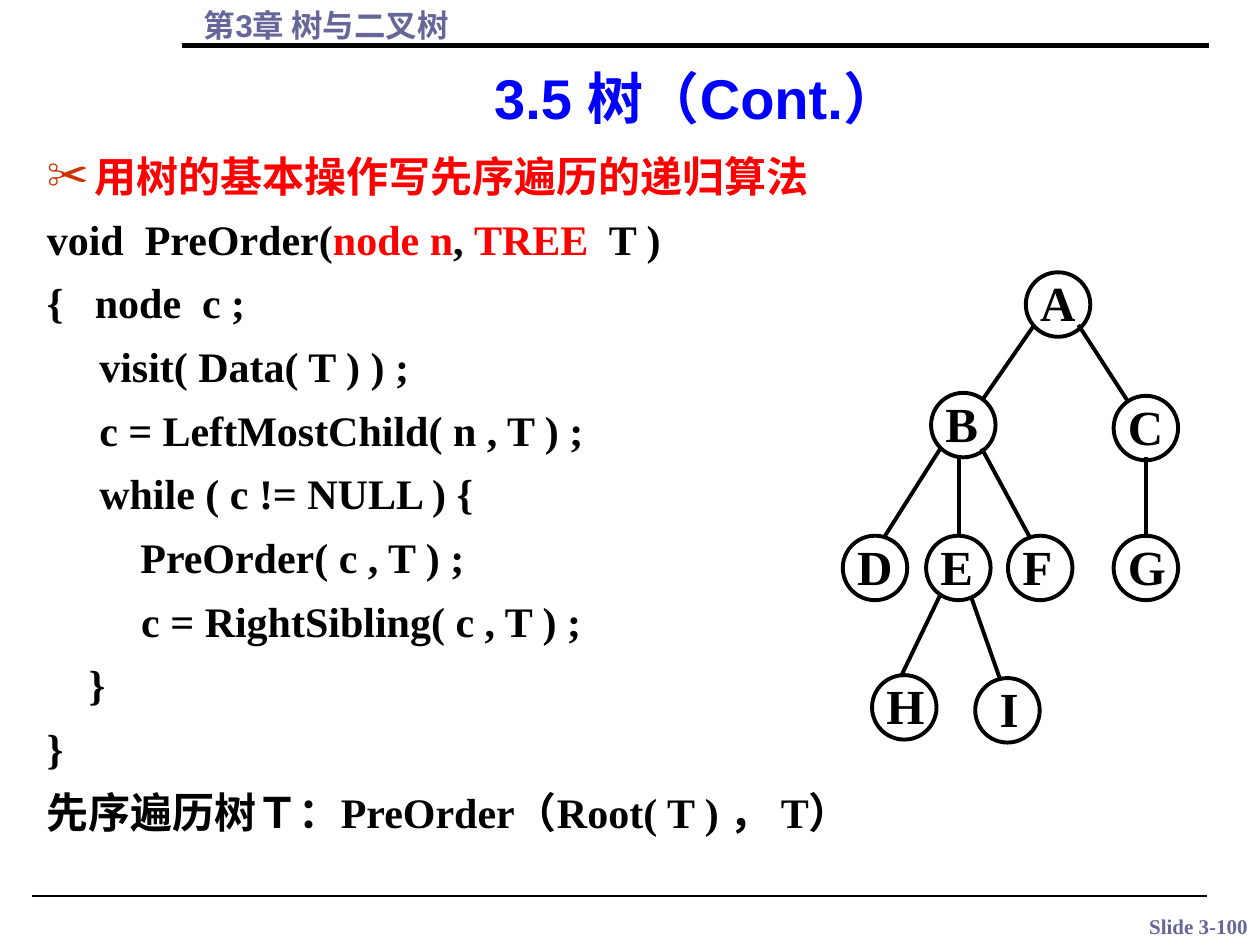
"""Build a slide showing the recursive preorder traversal of a tree."""
from dataclasses import dataclass

from lxml import etree
from pptx import Presentation
from pptx.dml.color import RGBColor
from pptx.enum.shapes import MSO_CONNECTOR, MSO_SHAPE
from pptx.enum.text import MSO_ANCHOR, MSO_AUTO_SIZE, PP_ALIGN
from pptx.oxml.ns import qn
from pptx.util import Cm, Pt

STRAIGHT = MSO_CONNECTOR.STRAIGHT
ELLIPSE = MSO_SHAPE.OVAL
TOP, BOTTOM = MSO_ANCHOR.TOP, MSO_ANCHOR.BOTTOM
FIXED_SIZE = MSO_AUTO_SIZE.NONE
LEFT, CENTER = PP_ALIGN.LEFT, PP_ALIGN.CENTER

SANS, SERIF = "Arial", "Times New Roman"
BLACK, RED, BLUE = "000000", "FF0000", "0000FF"
SLATE, RUST = "666699", "CC3300"
NODE_SIZE = 1.3
HANGING_INDENT = 0.96


@dataclass(frozen=True)
class Node:
    """A tree node, placed by its top left corner in centimetres."""
    label: str
    left: float
    top: float
    inset: float = 0.1


@dataclass(frozen=True)
class Line:
    """A straight line with ends in centimetres and width in points."""
    x1: float
    y1: float
    x2: float
    y2: float
    width: float = 2.25


@dataclass(frozen=True)
class Piece:
    """A piece of text in one colour."""
    text: str
    color: str = BLACK


HEADING = "用树的基本操作写先序遍历的递归算法"
CODE = [
    [Piece("void  PreOrder("), Piece("node n", RED), Piece(", "),
     Piece("TREE", RED), Piece("  T )")],
    [Piece("{   node  c ;")],
    [Piece("     visit( Data( T ) ) ;")],
    [Piece("     c = LeftMostChild( n , T ) ;")],
    [Piece("     while ( c != NULL ) {")],
    [Piece("　　 PreOrder( c , T ) ;")],
    [Piece("         c = RightSibling( c , T ) ;")],
    [Piece("　}")],
    [Piece("}")],
    [Piece("先序遍历树Ｔ：PreOrder（Root( T ) ， T）")],
]
NODES = [
    Node("A", 20.68, 5.49),
    Node("B", 18.77, 7.92), Node("C", 22.45, 7.98),
    Node("D", 16.99, 10.8), Node("E", 18.67, 10.8),
    Node("F", 20.32, 10.8), Node("G", 22.45, 10.8),
    Node("H", 17.58, 13.61), Node("I", 19.66, 13.67, inset=0.3),
]
EDGES = [
    Line(20.85, 6.55, 19.79, 8.08), Line(21.74, 6.55, 22.73, 8.08),
    Line(18.97, 9.02, 17.83, 10.82), Line(19.33, 9.17, 19.33, 10.82),
    Line(19.79, 9.04, 20.78, 10.87), Line(23.11, 9.22, 23.11, 10.85),
    Line(18.97, 11.96, 18.16, 13.64), Line(19.58, 12.04, 20.17, 13.72),
]
RULES = [Line(3.66, 0.92, 24.38, 0.92, 3), Line(0.64, 18.06, 24.33, 18.06, 0.75)]


def rgb(color: str) -> RGBColor:
    """Turn a hex string into a colour."""
    return RGBColor.from_string(color)


def format_run(run, size: float, font_name: str, color: str) -> None:
    """Set a run in bold with the given size, font and colour."""
    run.font.size = Pt(size)
    run.font.name = font_name
    run.font.bold = True
    run.font.color.rgb = rgb(color)


def place(shape, left: float, top: float, width: float, height: float) -> None:
    """Move and size a shape in centimetres."""
    shape.left, shape.top = Cm(left), Cm(top)
    shape.width, shape.height = Cm(width), Cm(height)


def write(shape, text: str, size: float, font_name: str, color: str, alignment) -> None:
    """Put one formatted paragraph into a shape."""
    shape.text_frame.text = text
    paragraph = shape.text_frame.paragraphs[0]
    paragraph.alignment = alignment
    format_run(paragraph.runs[0], size, font_name, color)


def draw_line(shapes, line: Line) -> None:
    """Draw a black line without a shadow."""
    connector = shapes.add_connector(
        STRAIGHT, Cm(line.x1), Cm(line.y1), Cm(line.x2), Cm(line.y2))
    connector.line.color.rgb = rgb(BLACK)
    connector.line.width = Pt(line.width)
    etree.SubElement(connector._element.spPr, qn("a:effectLst"))


def draw_node(shapes, node: Node) -> None:
    """Draw a labelled tree node."""
    shape = shapes.add_shape(
        ELLIPSE, Cm(node.left), Cm(node.top), Cm(NODE_SIZE), Cm(NODE_SIZE))
    shape.shadow.inherit = False
    shape.fill.background()
    shape.line.color.rgb = rgb(BLACK)
    shape.line.width = Pt(2.25)
    write(shape, node.label, 28, SERIF, BLACK, LEFT)
    frame = shape.text_frame
    frame.vertical_anchor = TOP
    frame.margin_left = Cm(node.inset)
    frame.margin_right = frame.margin_bottom = Cm(0.1)
    frame.margin_top = Cm(0.05)
    frame.paragraphs[0].line_spacing = 0.8


def set_bullet(paragraph, character: str = "", color: str = BLACK) -> None:
    """Give a paragraph a hanging indent and a bullet, or no bullet."""
    properties = paragraph._p.get_or_add_pPr()
    properties.set("marL", str(Cm(HANGING_INDENT)))
    properties.set("indent", str(-Cm(HANGING_INDENT)))
    if character:
        bullet_color = etree.SubElement(properties, qn("a:buClr"))
        etree.SubElement(bullet_color, qn("a:srgbClr"), val=color)
        etree.SubElement(properties, qn("a:buChar"), char=character)
    else:
        etree.SubElement(properties, qn("a:buNone"))


def fill_body(body) -> None:
    """Write the heading and the code into the body placeholder."""
    place(body, 0.69, 3.1, 24.18, 14.94)
    frame = body.text_frame
    frame.auto_size = FIXED_SIZE
    write(body, HEADING, 24, SANS, RED, LEFT)
    heading = frame.paragraphs[0]
    set_bullet(heading, "✂", RUST)
    heading.line_spacing = 0.8
    heading.space_before = Pt(0)
    for pieces in CODE:
        paragraph = frame.add_paragraph()
        set_bullet(paragraph)
        paragraph.line_spacing = 0.9
        paragraph.space_before = Pt(10.5)
        for piece in pieces:
            run = paragraph.add_run()
            run.text = piece.text
            format_run(run, 24, SERIF, piece.color)


def main() -> None:
    """Build and save the presentation."""
    presentation = Presentation()
    presentation.slide_width, presentation.slide_height = Cm(25.4), Cm(19.05)
    slide = presentation.slides.add_slide(presentation.slide_layouts[1])

    title, body = slide.placeholders
    place(title, 3.4, 1.07, 21.29, 1.7)
    title.text_frame.auto_size = FIXED_SIZE
    title.text_frame.vertical_anchor = BOTTOM
    write(title, "3.5 树（Cont.）", 32, SANS, BLUE, CENTER)
    fill_body(body)

    chapter = slide.shapes.add_textbox(Cm(3.86), Cm(0), Cm(20.4), Cm(1.02))
    chapter.text_frame.word_wrap = True
    write(chapter, "第3章 树与二叉树", 18, SANS, SLATE, LEFT)
    number = slide.shapes.add_textbox(Cm(22.28), Cm(18.29), Cm(3.76), Cm(0.76))
    write(number, "Slide 3-100", 12, SERIF, SLATE, CENTER)
    for rule in RULES:
        draw_line(slide.shapes, rule)

    tree = slide.shapes.add_group_shape()
    for node in NODES:
        draw_node(tree.shapes, node)
    for edge in EDGES:
        draw_line(tree.shapes, edge)
    presentation.save("out.pptx")


if __name__ == "__main__":
    main()
